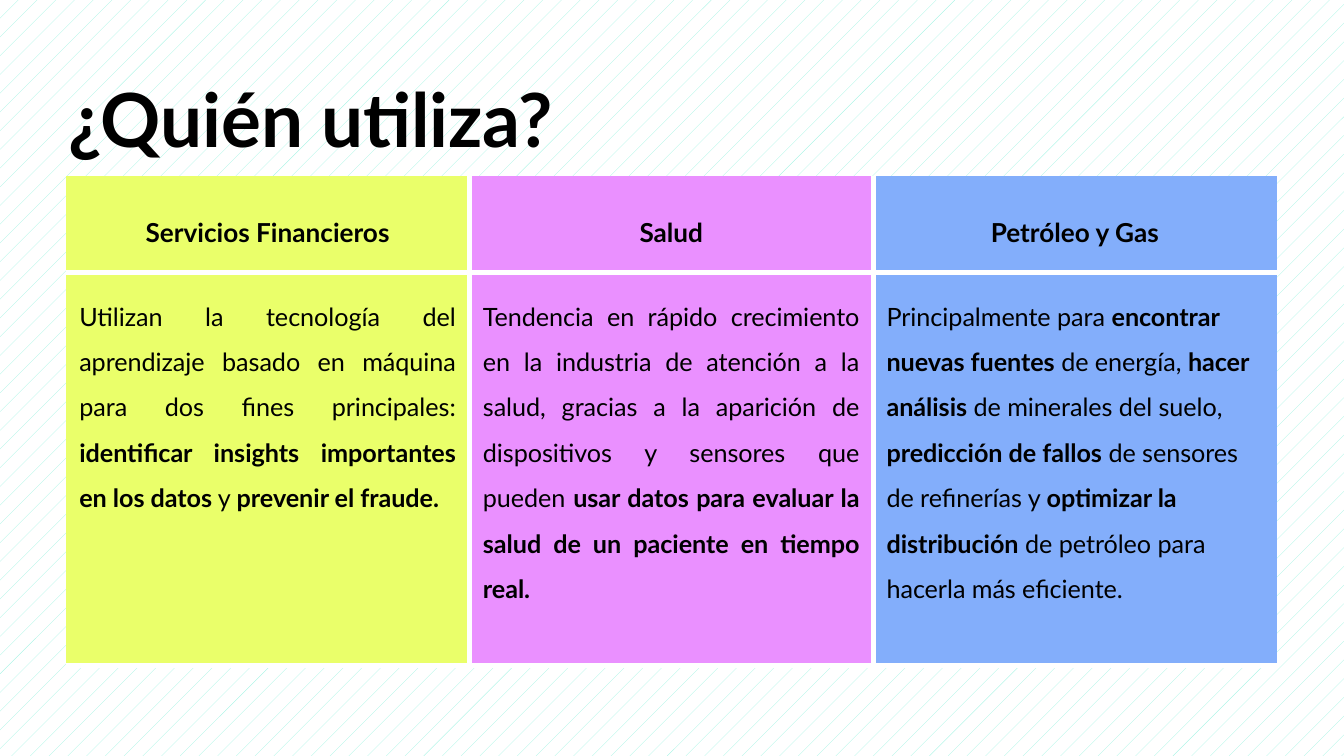
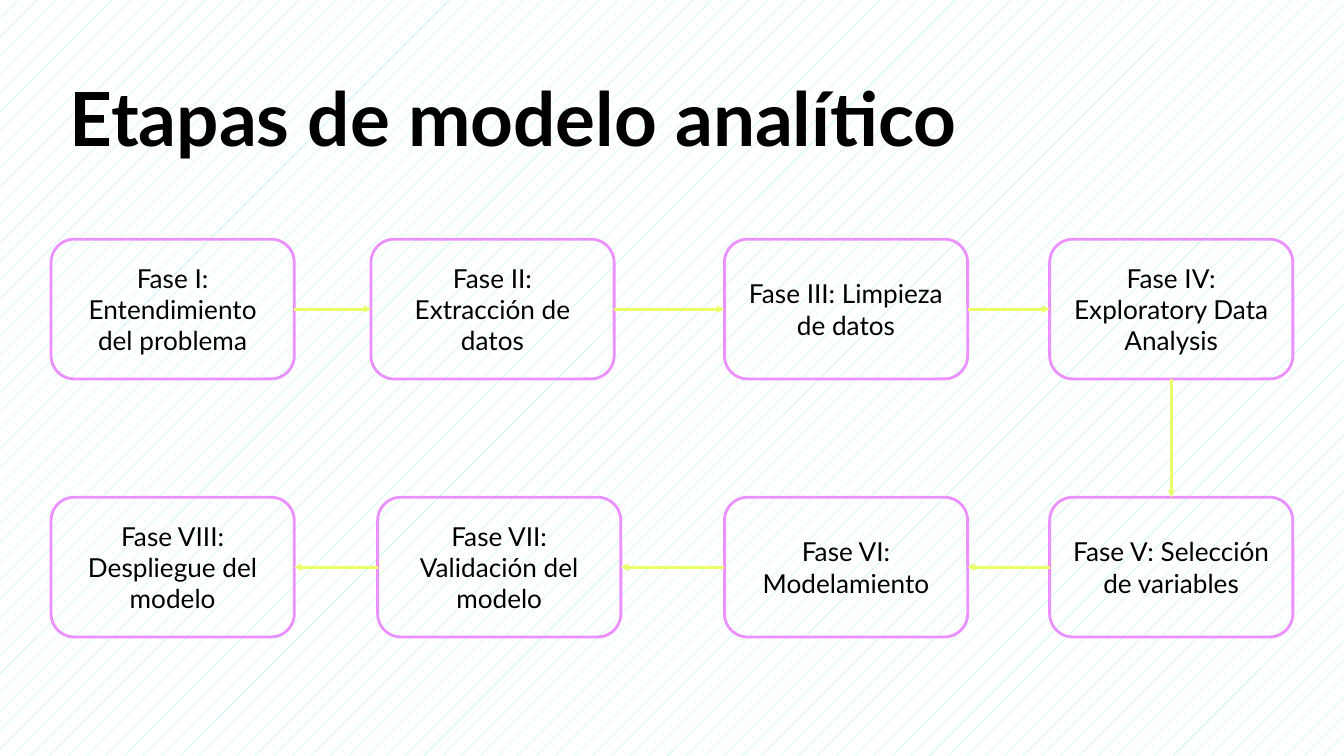
import pptx
import pptx.util
import pptx.dml.color
import pptx.enum.dml
import pptx.enum.shapes
import pptx.enum.text
import pptx.oxml
import pptx.oxml.ns
import lxml.etree

Inches, Pt = pptx.util.Inches, pptx.util.Pt
RGBColor = pptx.dml.color.RGBColor
ALIGN = pptx.enum.text.PP_ALIGN
ANCHOR = pptx.enum.text.MSO_ANCHOR
qn = pptx.oxml.ns.qn

FONT = "Lato"
BLACK = RGBColor(0x00, 0x00, 0x00)
WHITE = RGBColor(0xFF, 0xFF, 0xFF)
MINT = RGBColor(0x9D, 0xF4, 0xE2)
LIME = RGBColor(0xEA, 0xFF, 0x6A)
PINK = RGBColor(0xEA, 0x90, 0xFF)
BLUE = RGBColor(0x83, 0xAE, 0xFB)
MARGIN = Inches(0.1)


def write(tf, text, size=14, align=ALIGN.CENTER, spacing=None):
    """Fill a text frame with one paragraph; parts between ** marks are bold."""
    p = tf.paragraphs[0]
    p.alignment = align
    p.line_spacing = spacing
    for i, part in enumerate(text.split("**")):
        if part:
            r = p.add_run()
            r.text = part
            r.font.name = FONT
            r.font.size = Pt(size)
            r.font.bold = i % 2 == 1
            r.font.color.rgb = BLACK


def add_titled_slide(title, left, top, width, height):
    s = prs.slides.add_slide(prs.slide_layouts[5])
    fill = s.background.fill
    fill.patterned()
    fill.pattern = pptx.enum.dml.MSO_PATTERN.PERCENT_5
    fill.fore_color.rgb, fill.back_color.rgb = MINT, WHITE
    sp = s.shapes.title
    sp.left, sp.top, sp.width, sp.height = map(Inches, (left, top, width, height))
    tf = sp.text_frame
    tf.auto_size = pptx.enum.text.MSO_AUTO_SIZE.NONE
    tf.word_wrap = True
    tf.vertical_anchor = ANCHOR.TOP
    tf.margin_left = tf.margin_right = tf.margin_top = tf.margin_bottom = MARGIN
    write(tf, f"**{title}**", size=40, align=ALIGN.LEFT, spacing=0.9)
    return s


prs = pptx.Presentation()
prs.slide_width = Inches(10)
prs.slide_height = prs.slide_width * 9 // 16

# Slide 1: one table column per industry
s = add_titled_slide("¿Quién utiliza?", 0.41, 0.52, 6.8, 1.41)
industries = [
    ("Servicios Financieros", LIME, ALIGN.JUSTIFY,
     "Utilizan la tecnología del aprendizaje basado en máquina para dos fines "
     "principales: **identificar insights importantes en los datos** y "
     "**prevenir el fraude.**"),
    ("Salud", PINK, ALIGN.JUSTIFY,
     "Tendencia en rápido crecimiento en la industria de atención a la salud, "
     "gracias a la aparición de dispositivos y sensores que pueden "
     "**usar datos para evaluar la salud de un paciente en tiempo real.**"),
    ("Petróleo y Gas", BLUE, ALIGN.LEFT,
     "Principalmente para **encontrar nuevas fuentes** de energía, "
     "**hacer análisis** de minerales del suelo, **predicción de fallos** de "
     "sensores de refinerías y **optimizar la distribución** de petróleo para "
     "hacerla más eficiente."),
]
row_heights = (0.72, 2.92)
table = s.shapes.add_table(2, len(industries), Inches(0.49), Inches(1.31),
                           Inches(9.01), Inches(sum(row_heights))).table
table.first_row = table.horz_banding = False
for row, height in zip(table.rows, row_heights):
    row.height = Inches(height)

for col, (name, color, body_align, body) in enumerate(industries):
    for row in range(2):
        cell = table.cell(row, col)
        cell.margin_left = cell.margin_right = MARGIN
        cell.margin_top = cell.margin_bottom = MARGIN
        borders = {"L": col > 0, "R": col < len(industries) - 1,
                   "T": row > 0, "B": True}
        tcPr = cell._tc.get_or_add_tcPr()
        for side, drawn in borders.items():
            ln = lxml.etree.SubElement(tcPr, qn(f"a:ln{side}"), w=str(Pt(3)))
            if drawn:
                fill = lxml.etree.SubElement(ln, qn("a:solidFill"))
                lxml.etree.SubElement(fill, qn("a:srgbClr"), val=str(WHITE))
            else:
                lxml.etree.SubElement(ln, qn("a:noFill"))
        cell.fill.solid()
        cell.fill.fore_color.rgb = color
        if row == 0:
            cell.vertical_anchor = ANCHOR.MIDDLE
            write(cell.text_frame, f"**{name}**", spacing=1.5)
        else:
            cell.vertical_anchor = ANCHOR.TOP
            write(cell.text_frame, body, size=13.5, align=body_align, spacing=1.5)

# Slide 2: phases run right along the top row, then back along the bottom row
s = add_titled_slide("Etapas de modelo analítico", 0.42, 0.51, 9.07, 0.45)
BOX_W, BOX_H = 1.81, 1.04
TOP_ROW, BOTTOM_ROW = 1.78, 3.7
phases = [
    ("Fase I: Entendimiento del problema", 0.38, TOP_ROW),
    ("Fase II: Extracción de datos", 2.76, TOP_ROW),
    ("Fase III: Limpieza de datos", 5.39, TOP_ROW),
    ("Fase IV: Exploratory Data Analysis", 7.81, TOP_ROW),
    ("Fase V: Selección de variables", 7.81, BOTTOM_ROW),
    ("Fase VI: Modelamiento", 5.39, BOTTOM_ROW),
    ("Fase VII: Validación del modelo", 2.81, BOTTOM_ROW),
    ("Fase VIII: Despliegue del modelo", 0.38, BOTTOM_ROW),
]
boxes = []
for text, left, top in phases:
    box = s.shapes.add_shape(pptx.enum.shapes.MSO_SHAPE.ROUNDED_RECTANGLE,
                             Inches(left), Inches(top), Inches(BOX_W), Inches(BOX_H))
    box.shadow.inherit = False
    box.fill.background()
    box.line.color.rgb = PINK
    box.line.width = Pt(1.5)
    tf = box.text_frame
    tf.word_wrap = True
    tf.vertical_anchor = ANCHOR.MIDDLE
    tf.margin_left = tf.margin_right = tf.margin_top = tf.margin_bottom = MARGIN
    write(tf, text)
    boxes.append(box)

SITE_TOP, SITE_LEFT, SITE_BOTTOM, SITE_RIGHT = range(4)
for start, end in zip(boxes, boxes[1:]):
    if start.left == end.left:
        sites = SITE_BOTTOM, SITE_TOP
    elif start.left < end.left:
        sites = SITE_RIGHT, SITE_LEFT
    else:
        sites = SITE_LEFT, SITE_RIGHT
    arrow = s.shapes.add_connector(pptx.enum.shapes.MSO_CONNECTOR.STRAIGHT, 0, 0, 0, 0)
    arrow.begin_connect(start, sites[0])
    arrow.end_connect(end, sites[1])
    arrow.line.color.rgb = LIME
    arrow.line.width = Pt(1.5)
    lxml.etree.SubElement(arrow.line._get_or_add_ln(), qn("a:tailEnd"),
                          type="triangle", w="sm", len="sm")
    lxml.etree.SubElement(arrow._element.spPr, qn("a:effectLst"))

prs.save("out.pptx")
